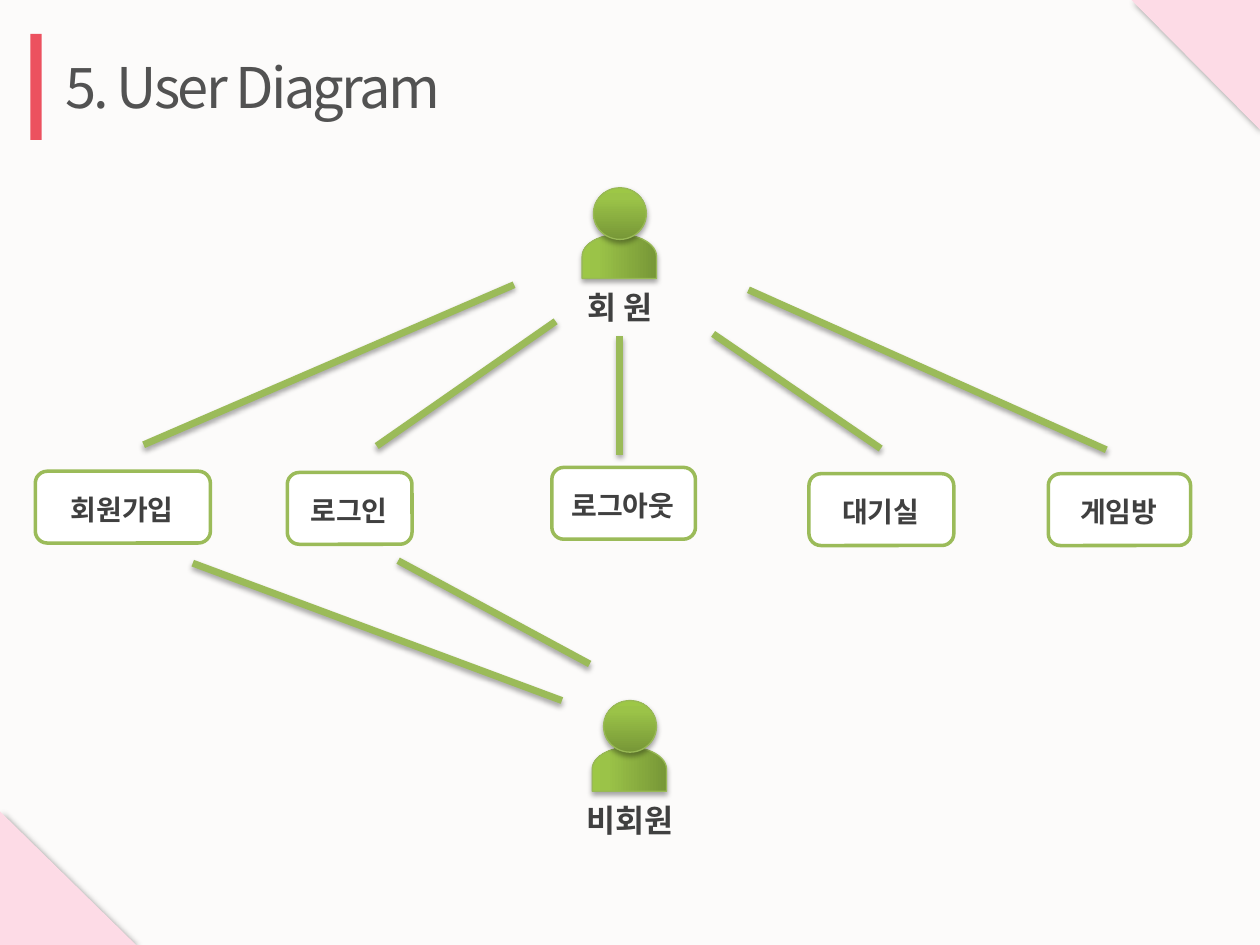
from pptx import Presentation
from pptx import util as u
from pptx.dml.color import RGBColor
from pptx.enum import shapes as sh, text as tx
from pptx.oxml import parse_xml
from pptx.oxml.ns import nsdecls

FONT = "Noto Sans CJK KR"
GREEN, EDGE, PINK = "9BBB59", "98B955", "FDDBE6"
STOPS = [(0, "779737"), (80, "9BC348"), (100, "9DC746")]
SOFT = (35, 3.1, 1.8, 90)      # opacity, blur, distance, angle
CORNER = (40, 4, 2, 45)

# Content
TITLE = "5. User Diagram"
USERS = [  # label, icon centre, icon top, label width
    ("회 원", 4.92, 1.49, 0.9),
    ("비회원", 5.0, 5.56, 1.42),
]
PAGES = [  # label, left, top, width
    ("회원가입", 0.28, 3.74, 1.39),
    ("로그인", 2.28, 3.75, 0.99),
    ("로그아웃", 4.38, 3.71, 1.14),
    ("대기실", 6.42, 3.76, 1.15),
    ("게임방", 8.32, 3.76, 1.13),
]
LINKS = [  # from, to
    ((4.08, 2.26), (1.14, 3.53)),
    ((4.41, 2.55), (2.99, 3.54)),
    ((4.92, 2.67), (4.92, 3.61)),
    ((6.99, 3.56), (5.66, 2.65)),
    ((8.78, 3.57), (5.94, 2.3)),
    ((4.46, 5.56), (1.53, 4.47)),
    ((4.68, 5.27), (3.16, 4.45)),
]


def color(code):
    return RGBColor.from_string(code)


def shade(item, look):
    """Give a shape or connector its outer shadow."""
    alpha, blur, dist, turn = look
    item._element.spPr.append(parse_xml(
        f'<a:effectLst {nsdecls("a")}><a:outerShdw blurRad="{u.Pt(blur)}" '
        f'dist="{u.Pt(dist)}" dir="{turn * 60000}" algn="ctr" rotWithShape="0">'
        f'<a:srgbClr val="000000"><a:alpha val="{alpha * 1000}"/></a:srgbClr>'
        '</a:outerShdw></a:effectLst>'))


def blend(item):
    """Fill a shape with the green gradient, dark end at its foot."""
    stops = "".join(f'<a:gs pos="{pos * 1000}"><a:srgbClr val="{code}"/></a:gs>'
                    for pos, code in STOPS)
    item._element.spPr.insert(2, parse_xml(
        f'<a:gradFill {nsdecls("a")} rotWithShape="1"><a:gsLst>{stops}</a:gsLst>'
        '<a:lin ang="16200000" scaled="0"/></a:gradFill>'))


def stroke(item, code, width):
    item.line.color.rgb = color(code)
    item.line.width = u.Pt(width)


def shape(host, kind, box, fill=None, line=None, look=None):
    item = host.add_shape(kind, *map(u.Inches, box))
    if fill:
        item.fill.solid()
        item.fill.fore_color.rgb = color(fill)
    else:
        blend(item)
    if line:
        stroke(item, *line)
    else:
        item.line.fill.background()
    if look:
        shade(item, look)
    else:
        item.shadow.inherit = False
    return item


def label(host, words, box, size, code="404040", bold=True, wrap=True):
    frame = host.add_textbox(*map(u.Inches, box)).text_frame
    frame.word_wrap = wrap
    para = frame.paragraphs[0]
    para.alignment = tx.PP_ALIGN.CENTER if wrap else tx.PP_ALIGN.LEFT
    run = para.add_run()
    run.text = words
    for key, val in {"name": FONT, "size": u.Pt(size), "bold": bold}.items():
        setattr(run.font, key, val)
    run.font.color.rgb = color(code)
    return run


def person(host, words, mid, top, wide):
    group = host.add_group_shape().shapes
    kind = sh.MSO_SHAPE
    body = shape(group, kind.FLOWCHART_DELAY, (mid - 0.18, top + 0.25, 0.35, 0.59),
                 line=(EDGE, 0.75), look=SOFT)
    body.rotation = 270
    shape(group, kind.OVAL, (mid - 0.21, top, 0.42, 0.41),
          line=(EDGE, 0.75), look=SOFT)
    label(group, words, (mid - wide / 2, top + 0.75, wide, 0.4), 18)


def page(host, words, left, top, wide):
    group = host.add_group_shape().shapes
    shape(group, sh.MSO_SHAPE.ROUNDED_RECTANGLE, (left, top, wide, 0.57),
          "FFFFFF", (GREEN, 2))
    label(group, words, (left - 0.02, top + 0.12, wide + 0.03, 0.37), 16)


def main():
    deck = Presentation()
    deck.slide_width, deck.slide_height = u.Inches(10), u.Inches(7.5)
    slide = deck.slides.add_slide(deck.slide_layouts[6])
    back = slide.background.fill
    back.solid()
    back.fore_color.rgb = color("FCFBFA")
    host = slide.shapes

    # Title with its bar
    run = label(host, TITLE, (0.42, 0.37, 3.18, 0.64), 32, "525252", False, False)
    run.font._element.set("spc", "-150")
    shape(host, sh.MSO_SHAPE.RECTANGLE, (0.24, 0.27, 0.09, 0.84), "EC515F")

    # Diagram
    for user in USERS:
        person(host, *user)
    for item in PAGES:
        page(host, *item)
    for start, end in LINKS:
        link = host.add_connector(sh.MSO_CONNECTOR.STRAIGHT,
                                  *map(u.Inches, start + end))
        stroke(link, GREEN, 4)
        shade(link, SOFT)

    # Corner triangles
    kind = sh.MSO_SHAPE.RIGHT_TRIANGLE
    upper = shape(host, kind, (8.98, 0, 1.02, 1.03), PINK, look=CORNER)
    for key in ("flipH", "flipV"):
        upper._element.spPr.xfrm.set(key, "1")
    shape(host, kind, (0, 6.44, 1.08, 1.06), PINK, look=CORNER)

    deck.save("out.pptx")


if __name__ == "__main__":
    main()
